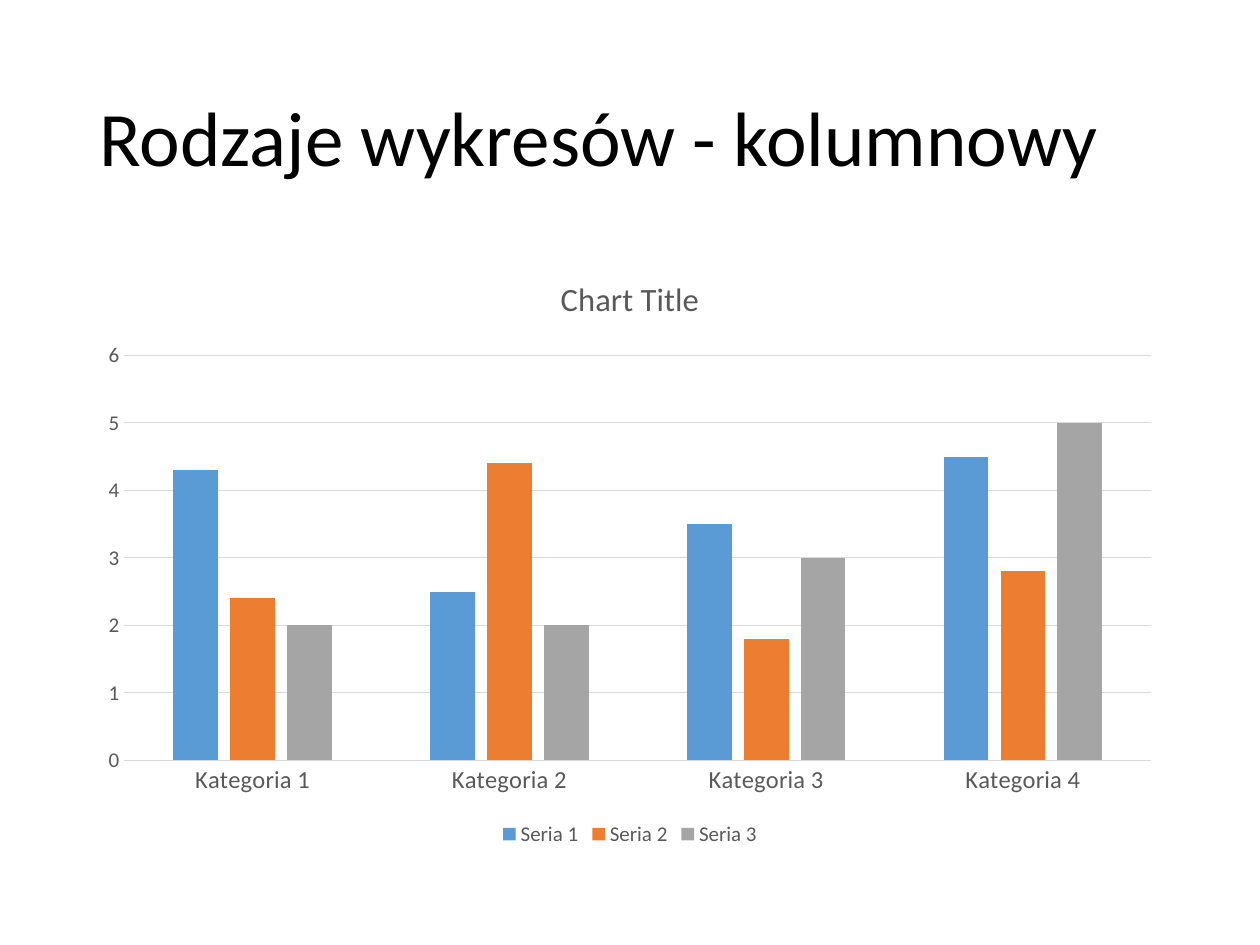
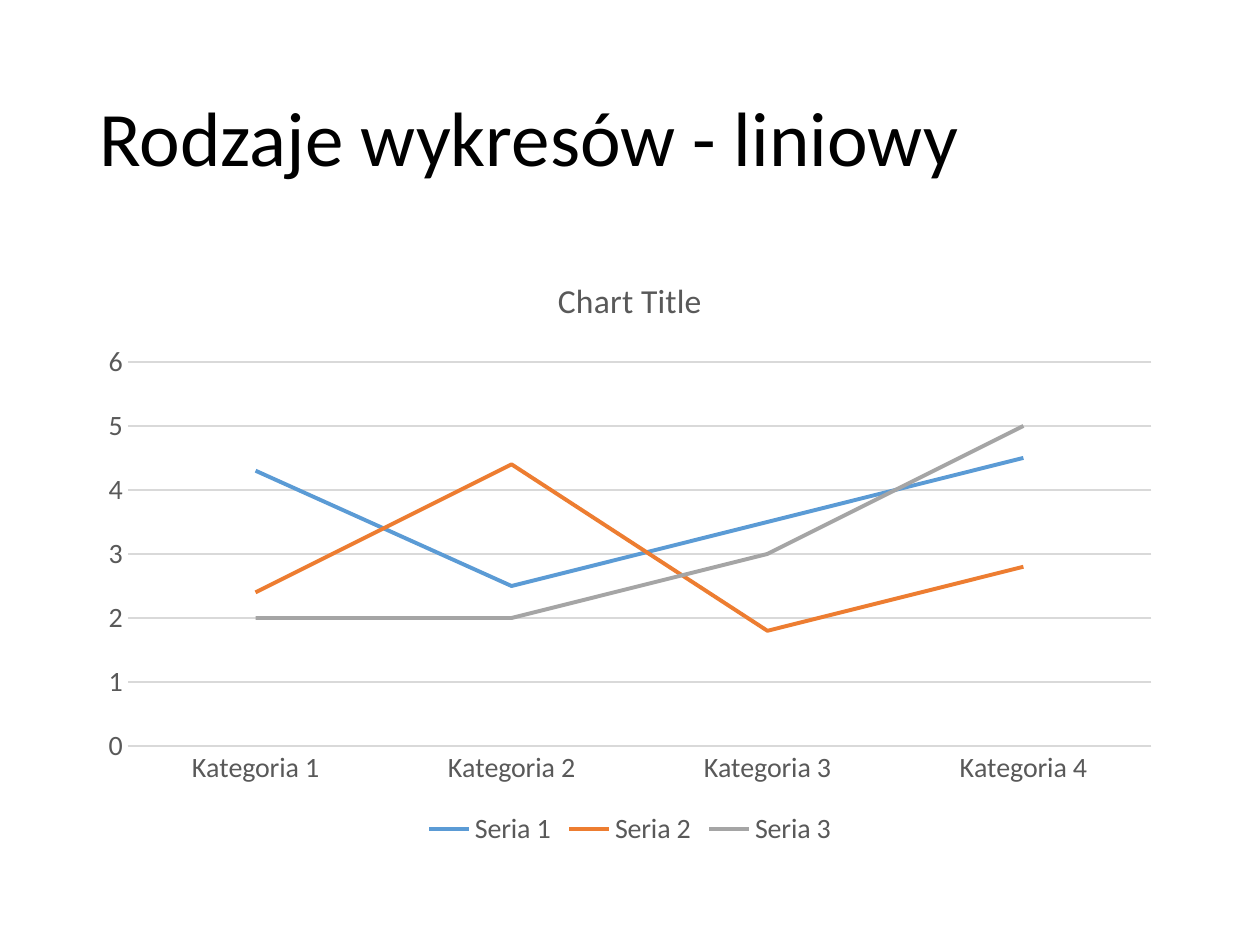
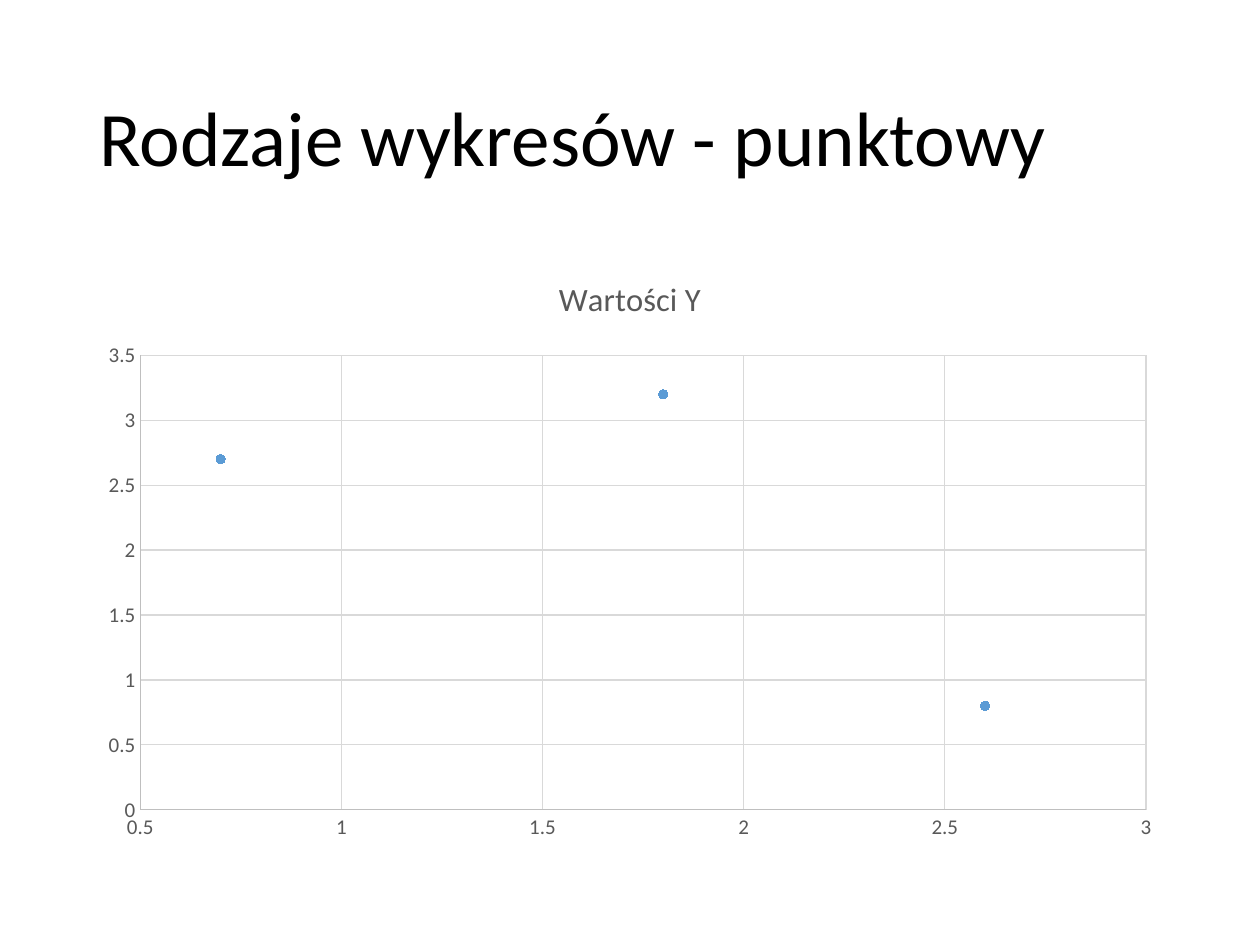
from dataclasses import dataclass

import pptx
import pptx.chart.axis
import pptx.chart.chart
import pptx.chart.data
import pptx.dml.color
import pptx.dml.line
import pptx.enum.chart
import pptx.enum.text
import pptx.slide
import pptx.text.text
import pptx.util

ChartType = pptx.enum.chart.XL_CHART_TYPE


@dataclass(frozen=True)
class Theme:
    font: str = "Calibri"
    background: str = "FFFFFF"
    heading: str = "000000"
    label: str = "595959"
    grid: str = "D9D9D9"
    scatter_axis: str = "BFBFBF"
    series: tuple[str, ...] = ("5B9BD5", "ED7D31", "A5A5A5")
    heading_size: float = 44
    hairline: float = 0.75
    curve: float = 2.25
    marker: int = 5


@dataclass(frozen=True)
class Area:
    column: float
    row: float
    columns: float
    rows: float


@dataclass(frozen=True)
class ChartSlide:
    heading: str
    kind: ChartType
    chart_title: str
    title_size: float
    category_size: float
    value_size: float
    legend_size: float | None = None


THEME = Theme()
SLIDE_WIDTH = pptx.util.Inches(10)
SLIDE_HEIGHT = pptx.util.Inches(7.5)
GRID_COLUMNS = 100
GRID_ROWS = 75
HEADING_AREA = Area(6.9, 4, 86.2, 14.5)
CHART_AREA = Area(6.9, 20, 86.2, 47.6)

CATEGORIES = tuple(f"Kategoria {number}" for number in range(1, 5))
SERIES = {
    "Seria 1": (4.3, 2.5, 3.5, 4.5),
    "Seria 2": (2.4, 4.4, 1.8, 2.8),
    "Seria 3": (2, 2, 3, 5),
}
POINTS_NAME = "Wartości Y"
POINTS = ((0.7, 2.7), (1.8, 3.2), (2.6, 0.8))

SLIDES = (
    ChartSlide("Rodzaje wykresów - kolumnowy", ChartType.COLUMN_CLUSTERED, "Chart Title", 18.6, 14, 12, 12),
    ChartSlide("Rodzaje wykresów - liniowy", ChartType.LINE, "Chart Title", 19.2, 16, 16, 16),
    ChartSlide("Rodzaje wykresów - punktowy", ChartType.XY_SCATTER, POINTS_NAME, 18.6, 12, 12),
)


def rgb(color: str) -> pptx.dml.color.RGBColor:
    return pptx.dml.color.RGBColor.from_string(color)


def placed(area: Area) -> tuple[int, int, int, int]:
    column = SLIDE_WIDTH / GRID_COLUMNS
    row = SLIDE_HEIGHT / GRID_ROWS
    return (
        round(area.column * column),
        round(area.row * row),
        round(area.columns * column),
        round(area.rows * row),
    )


def style_font(font: pptx.text.text.Font, size: float, color: str) -> None:
    font.name = THEME.font
    font.size = pptx.util.Pt(size)
    font.bold = False
    font.color.rgb = rgb(color)


def style_line(line: pptx.dml.line.LineFormat, color: str, width: float) -> None:
    line.color.rgb = rgb(color)
    line.width = pptx.util.Pt(width)


def add_heading(slide: pptx.slide.Slide, text: str) -> None:
    frame = slide.shapes.add_textbox(*placed(HEADING_AREA)).text_frame
    frame.word_wrap = True
    frame.vertical_anchor = pptx.enum.text.MSO_ANCHOR.MIDDLE
    heading = frame.paragraphs[0]
    heading.text = text
    heading.line_spacing = 0.9
    style_font(heading.font, THEME.heading_size, THEME.heading)


def category_data() -> pptx.chart.data.CategoryChartData:
    data = pptx.chart.data.CategoryChartData()
    data.categories = CATEGORIES
    for name, values in SERIES.items():
        data.add_series(name, values)
    return data


def point_data() -> pptx.chart.data.XyChartData:
    data = pptx.chart.data.XyChartData()
    points = data.add_series(POINTS_NAME)
    for x, y in POINTS:
        points.add_data_point(x, y)
    return data


def style_axis(
    axis: pptx.chart.axis._BaseAxis, size: float, line: str | None, gridlines: bool,
    low: float | None = None, high: float | None = None, step: float | None = None,
) -> None:
    axis.major_tick_mark = pptx.enum.chart.XL_TICK_MARK.NONE
    axis.minor_tick_mark = pptx.enum.chart.XL_TICK_MARK.NONE
    style_font(axis.tick_labels.font, size, THEME.label)
    if line:
        style_line(axis.format.line, line, THEME.hairline)
    else:
        axis.format.line.fill.background()
    axis.has_major_gridlines = gridlines
    if gridlines:
        style_line(axis.major_gridlines.format.line, THEME.grid, THEME.hairline)
    if step is not None:
        axis.minimum_scale = low
        axis.maximum_scale = high
        axis.major_unit = step


def style_series(chart: pptx.chart.chart.Chart, kind: ChartType) -> None:
    plot = chart.plots[0]
    plot.vary_by_categories = False
    if kind == ChartType.COLUMN_CLUSTERED:
        plot.gap_width = 219
        plot.overlap = -27
    for series, color in zip(plot.series, THEME.series):
        if kind == ChartType.COLUMN_CLUSTERED:
            series.format.fill.solid()
            series.format.fill.fore_color.rgb = rgb(color)
        elif kind == ChartType.LINE:
            series.smooth = False
            series.marker.style = pptx.enum.chart.XL_MARKER_STYLE.NONE
            style_line(series.format.line, color, THEME.curve)
        else:
            series.format.line.fill.background()
            series.marker.style = pptx.enum.chart.XL_MARKER_STYLE.CIRCLE
            series.marker.size = THEME.marker
            series.marker.format.fill.solid()
            series.marker.format.fill.fore_color.rgb = rgb(color)
            style_line(series.marker.format.line, color, THEME.hairline)


def add_chart(slide: pptx.slide.Slide, content: ChartSlide) -> None:
    scatter = content.kind == ChartType.XY_SCATTER
    data = point_data() if scatter else category_data()
    chart = slide.shapes.add_chart(content.kind, *placed(CHART_AREA), data).chart
    style_font(chart.font, content.value_size, THEME.label)

    chart.has_title = True
    title = chart.chart_title.text_frame.paragraphs[0]
    title.text = content.chart_title
    style_font(title.font, content.title_size, THEME.label)
    chart.chart_title.include_in_layout = False

    if scatter:
        style_axis(chart.category_axis, content.category_size, THEME.scatter_axis, True, 0.5, 3, 0.5)
        style_axis(chart.value_axis, content.value_size, THEME.scatter_axis, True, 0, 3.5, 0.5)
    else:
        style_axis(chart.category_axis, content.category_size, THEME.grid, False)
        style_axis(chart.value_axis, content.value_size, None, True, 0, 6, 1)

    chart.has_legend = content.legend_size is not None
    if content.legend_size is not None:
        chart.legend.position = pptx.enum.chart.XL_LEGEND_POSITION.BOTTOM
        chart.legend.include_in_layout = False
        style_font(chart.legend.font, content.legend_size, THEME.label)
    style_series(chart, content.kind)


def main() -> None:
    deck = pptx.Presentation()
    deck.slide_width = SLIDE_WIDTH
    deck.slide_height = SLIDE_HEIGHT
    background = deck.slide_master.background.fill
    background.solid()
    background.fore_color.rgb = rgb(THEME.background)
    for content in SLIDES:
        slide = deck.slides.add_slide(deck.slide_layouts[6])
        add_heading(slide, content.heading)
        add_chart(slide, content)
    deck.save("out.pptx")


if __name__ == "__main__":
    main()
